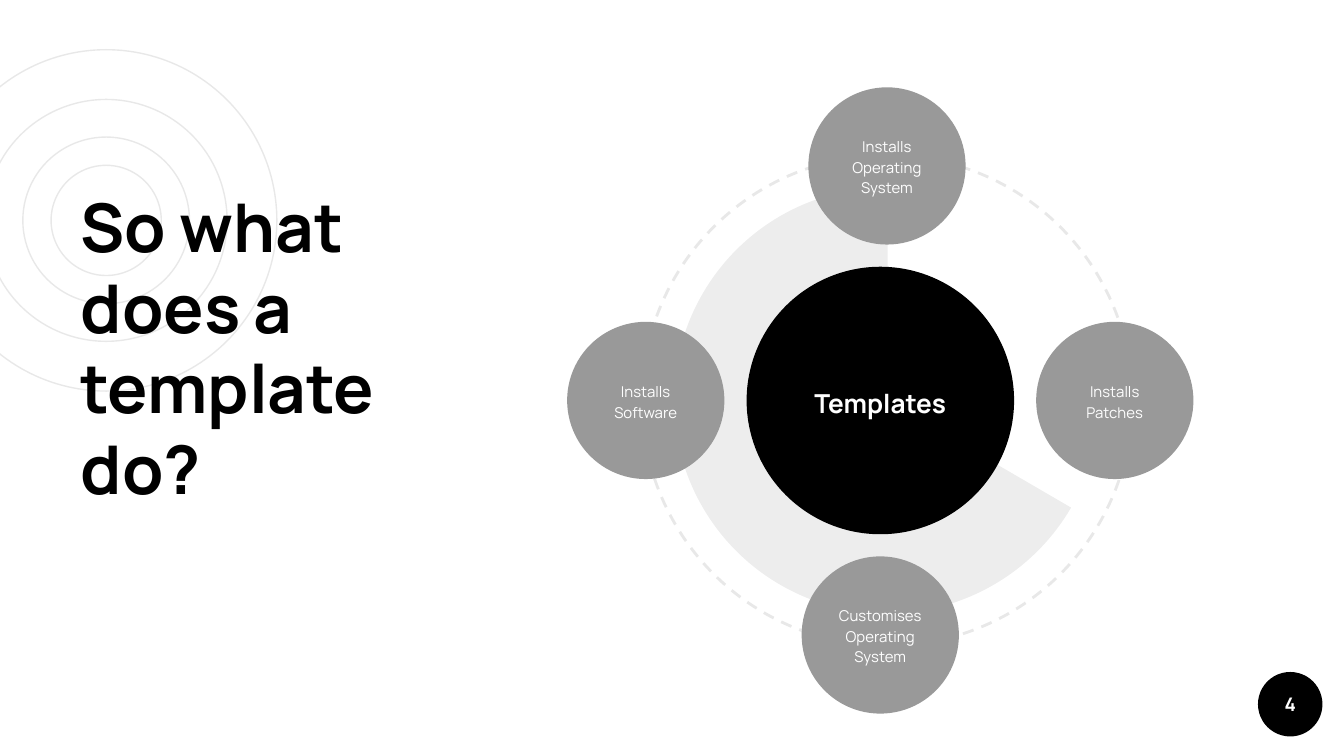
from dataclasses import dataclass

from lxml.etree import SubElement
from pptx import Presentation
from pptx.dml.color import RGBColor
from pptx.enum.dml import MSO_LINE
from pptx.enum.shapes import MSO_SHAPE
from pptx.enum.text import MSO_ANCHOR, MSO_AUTO_SIZE, PP_ALIGN
from pptx.oxml.ns import qn
from pptx.util import Inches, Pt


@dataclass(frozen=True)
class Theme:
    """Colours, font and type sizes of the slide."""

    black: str = "000000"
    white: str = "FFFFFF"
    grey: str = "999999"
    pale: str = "E8E8E8"
    font: str = "Manrope"
    title_size: int = 36
    hub_size: int = 14
    number_size: int = 10
    label_size: int = 8


THEME = Theme()


def apply_format(target, values):
    """Set every attribute of the target from a dict."""
    for name, value in values.items():
        setattr(target, name, value)


def write_text(shape, text, size, color, bold, frame_format, paragraph_format):
    """Write one formatted paragraph into a shape."""
    frame = shape.text_frame
    frame.text = text
    apply_format(frame, {"word_wrap": True, "auto_size": MSO_AUTO_SIZE.NONE, **frame_format})
    paragraph = frame.paragraphs[0]
    apply_format(paragraph, paragraph_format)
    font = paragraph.runs[0].font
    apply_format(font, {"name": THEME.font, "size": Pt(size), "bold": bold})
    font.color.rgb = RGBColor.from_string(color)


def add_round(slide, center_x, center_y, diameter, fill=None, line=None, width=0.75,
              kind=MSO_SHAPE.OVAL):
    """Add a round shape about a centre given in inches."""
    shape = slide.shapes.add_shape(
        kind, Inches(center_x - diameter / 2), Inches(center_y - diameter / 2),
        Inches(diameter), Inches(diameter))
    shape.shadow.inherit = False
    if fill:
        shape.fill.solid()
        shape.fill.fore_color.rgb = RGBColor.from_string(fill)
    else:
        shape.fill.background()
    if line:
        shape.line.color.rgb = RGBColor.from_string(line)
        shape.line.width = Pt(width)
    else:
        shape.line.fill.background()
    return shape


def add_disc(slide, center_x, center_y, diameter, fill, text, size, bold=False,
             inset=0.05, spacing=1.15):
    """Add a filled circle with centred white text."""
    disc = add_round(slide, center_x, center_y, diameter, fill)
    margins = {f"margin_{side}": Inches(inset) for side in ("left", "right", "top", "bottom")}
    write_text(disc, text, size, THEME.white, bold,
               {"vertical_anchor": MSO_ANCHOR.MIDDLE, **margins},
               {"alignment": PP_ALIGN.CENTER, "line_spacing": spacing})


def add_rings(slide, left, top, size):
    """Draw concentric outline circles in a square box."""
    for diameter in (size, 1.24, 1.8, 0.82):
        add_round(slide, left + size / 2, top + size / 2, diameter, line=THEME.pale)


def add_title(slide, left, top, width, height):
    """Place and format the title above the rings."""
    title = slide.shapes.title
    title.element.getparent().append(title.element)
    margins = {f"margin_{side}": Inches(0.1) for side in ("left", "right", "top", "bottom")}
    apply_format(title, {"left": Inches(left), "top": Inches(top),
                         "width": Inches(width), "height": Inches(height)})
    write_text(title, "So what does a template do?", THEME.title_size, THEME.black, True,
               {"vertical_anchor": MSO_ANCHOR.TOP, **margins},
               {"alignment": PP_ALIGN.LEFT, "line_spacing": 1.0})


def add_diagram(slide, left, top, size):
    """Draw the hub, its orbit and four satellites in a square box."""
    center_x, center_y = left + size / 2, top + size / 2
    satellite, shift = 1.17, 0.05
    reach = (size - satellite) / 2

    orbit = add_round(slide, center_x + shift, center_y, 3.65, line=THEME.pale, width=1.5)
    apply_format(orbit, {"rotation": 270})
    orbit.line.dash_style = MSO_LINE.DASH

    sector = add_round(slide, center_x + shift, center_y, 3.17, THEME.black, kind=MSO_SHAPE.PIE)
    for index, degrees in enumerate((30.2, 270.25)):
        sector.adjustments[index] = degrees * 0.6
    color = next(sector.element.spPr.iter(qn("a:srgbClr")))
    SubElement(color, qn("a:alpha"), val="7000")

    add_disc(slide, center_x, center_y, 1.99, THEME.black, "Templates", THEME.hub_size, True)
    satellites = (
        ("Installs Operating System", shift, -reach),
        ("Customises Operating System", 0, reach),
        ("Installs Patches", reach, 0),
        ("Installs Software", -reach, 0),
    )
    for text, offset_x, offset_y in satellites:
        add_disc(slide, center_x + offset_x, center_y + offset_y, satellite,
                 THEME.grey, text, THEME.label_size)


def add_slide_number(slide, left, top, size):
    """Draw the page number disc in a square box."""
    add_disc(slide, left + size / 2, top + size / 2, size, THEME.black, "4",
             THEME.number_size, True, inset=0, spacing=1.0)


def main():
    """Build the slide and save it."""
    presentation = Presentation()
    width = Inches(10)
    apply_format(presentation, {"slide_width": width, "slide_height": width * 9 // 16})
    slide = presentation.slides.add_slide(presentation.slide_layouts[5])
    slide.background.fill.solid()
    slide.background.fill.fore_color.rgb = RGBColor.from_string(THEME.white)
    add_rings(slide, -0.48, 0.37, 2.54)
    add_title(slide, 0.5, 1.28, 3.28, 3.22)
    add_diagram(slide, 4.22, 0.65, 4.66)
    add_slide_number(slide, 9.36, 5, 0.48)
    presentation.save("out.pptx")


if __name__ == "__main__":
    main()
